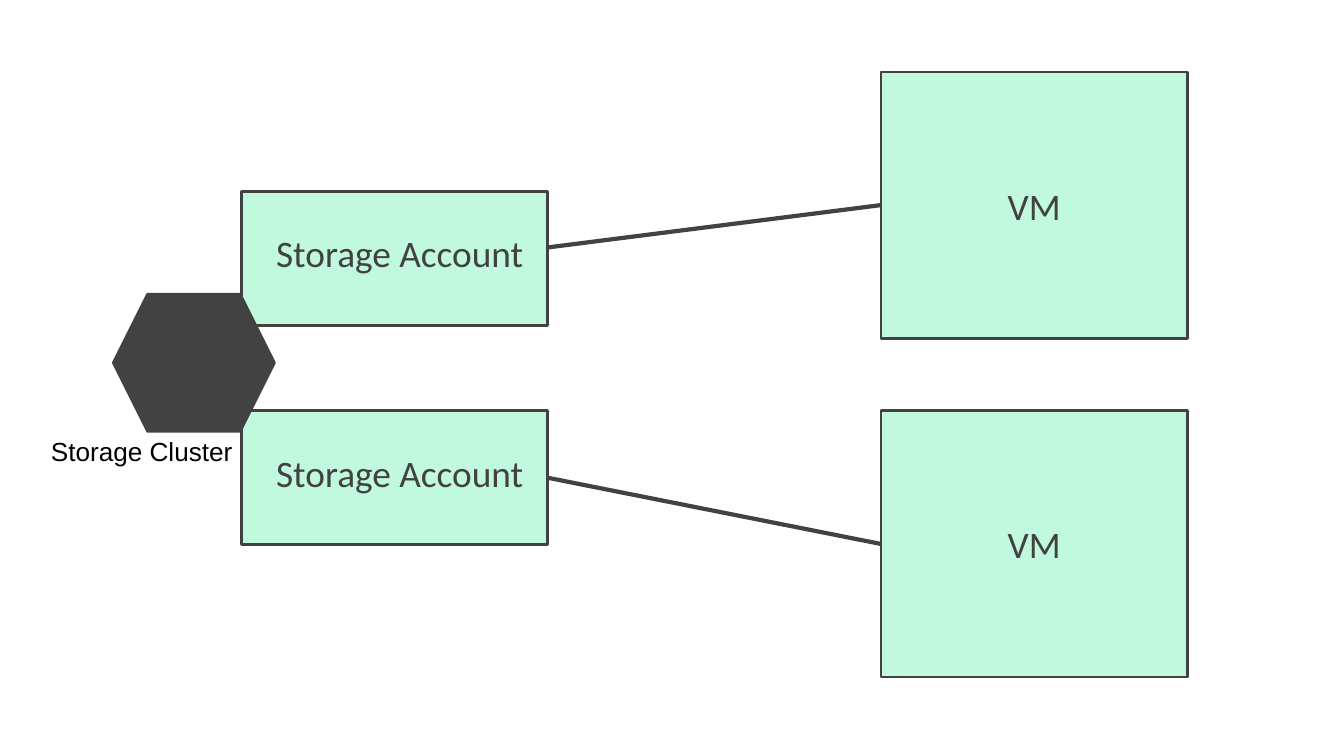
import pptx
import pptx.util
from lxml import etree
from pptx.dml.color import RGBColor
from pptx.enum.shapes import MSO_CONNECTOR, MSO_SHAPE
from pptx.enum.text import MSO_ANCHOR, MSO_AUTO_SIZE, PP_ALIGN
from pptx.oxml.ns import qn
from pptx.util import Inches

COLORS = {"mint": "C1F9DE", "dark": "424242", "black": "000000"}
LABEL = {"name": "Calibri", "size": pptx.util.Pt(40)}
CAPTION = {"name": "Arial", "size": pptx.util.Pt(28)}
LEFT_SIDE, RIGHT_SIDE = 1, 3


def color(name):
    return RGBColor.from_string(COLORS[name])


def write(frame, text, font, ink, **para_format):
    para = frame.paragraphs[0]
    for key, value in para_format.items():
        setattr(para, key, value)
    span = para.add_run()
    span.text = text
    for key, value in font.items():
        setattr(span.font, key, value)
    span.font.color.rgb = color(ink)


def add_block(page, kind, box, fill, line_width):
    block = page.shapes.add_shape(kind, *map(Inches, box))
    block.shadow.inherit = False
    block.fill.solid()
    block.fill.fore_color.rgb = color(fill)
    block.line.color.rgb = color("dark")
    block.line.width = pptx.util.Pt(line_width)
    return block


def add_label(page, box, text, font, ink, wrap):
    label = page.shapes.add_textbox(*map(Inches, box))
    frame = label.text_frame
    frame.word_wrap = wrap
    frame.auto_size = MSO_AUTO_SIZE.SHAPE_TO_FIT_TEXT
    write(frame, text, font, ink)


def add_account(page, box):
    left, top = box[:2]
    account = add_block(page, MSO_SHAPE.RECTANGLE, box, "mint", 3)
    add_label(page, (left + 0.42, top + 0.53, 4.85, 0.9),
              "Storage Account", LABEL, "dark", True)
    return account


def add_vm(page, box):
    machine = add_block(page, MSO_SHAPE.RECTANGLE, box, "mint", 3)
    machine.text_frame.vertical_anchor = MSO_ANCHOR.MIDDLE
    write(machine.text_frame, "VM", LABEL, "dark", alignment=PP_ALIGN.CENTER)
    return machine


def add_link(page, start, end):
    link = page.shapes.add_connector(
        MSO_CONNECTOR.STRAIGHT, *map(Inches, start + end))
    link.line.color.rgb = color("dark")
    link.line.width = pptx.util.Pt(4.5)
    etree.SubElement(link._element.spPr, qn("a:effectLst"))
    return link


def add_cluster(page, box):
    left, top, width, height = box
    add_block(page, MSO_SHAPE.HEXAGON, box, "dark", 2)
    add_label(page, (left - 1.02, top + height, 2.93, 0.57),
              "Storage Cluster", CAPTION, "black", False)


def main():
    deck = pptx.Presentation()
    deck.slide_width = Inches(20)
    deck.slide_height = pptx.util.Pt(809.5)
    page = deck.slides.add_slide(deck.slide_layouts[6])

    # Storage accounts on the left, virtual machines on the right
    accounts = [add_account(page, (3.59, top, 4.56, 1.99))
                for top in (2.85, 6.11)]
    machines = [add_vm(page, (13.11, top, 4.56, 3.96))
                for top in (1.07, 6.11)]

    # Links; the upper one leaves its account above the side's middle
    upper = add_link(page, (8.15, 3.68), (13.11, 3.05))
    lower = add_link(page, (8.15, 7.1), (13.11, 8.09))
    lower.begin_connect(accounts[1], RIGHT_SIDE)
    for link, machine in zip((upper, lower), machines):
        link.end_connect(machine, LEFT_SIDE)

    # Cluster overlapping both accounts
    add_cluster(page, (1.68, 4.37, 2.41, 2.05))

    deck.save("out.pptx")


if __name__ == "__main__":
    main()
